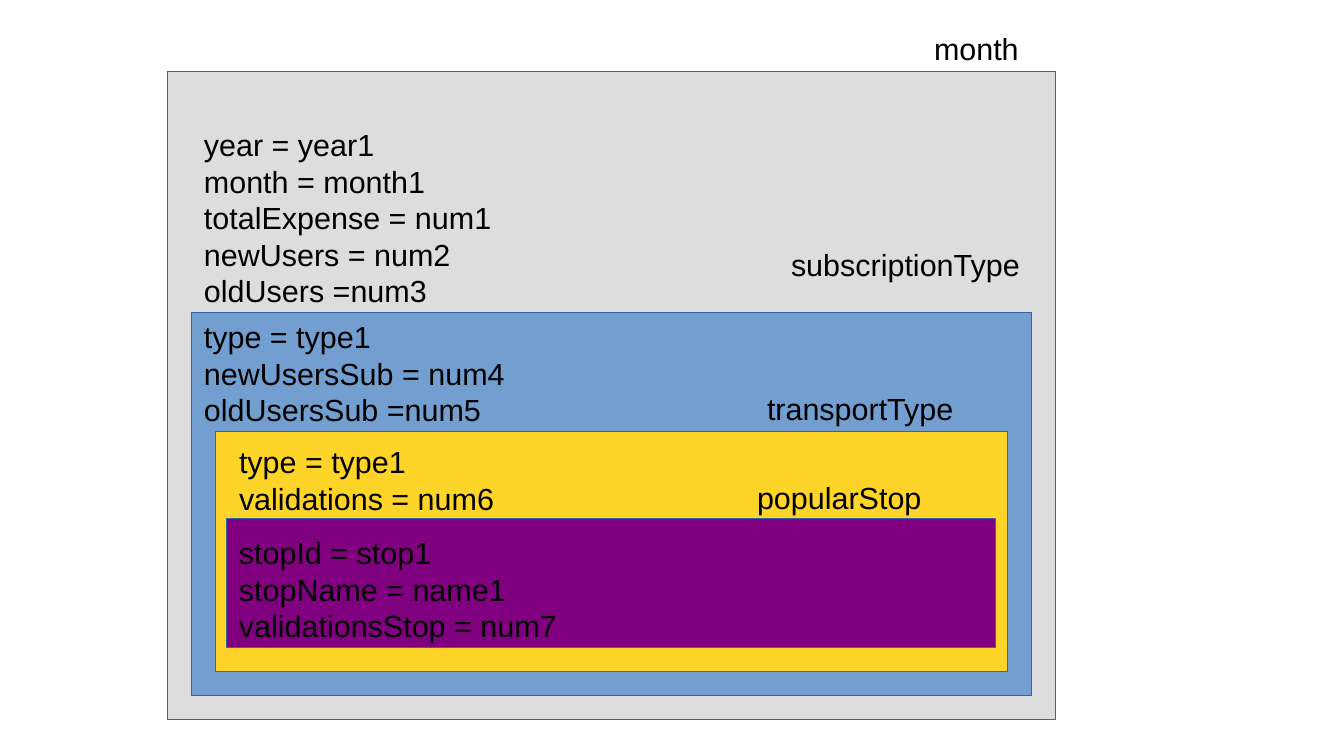
from dataclasses import dataclass

from pptx import Presentation
from pptx.dml.color import RGBColor
from pptx.enum.shapes import MSO_SHAPE
from pptx.enum.text import MSO_ANCHOR, MSO_AUTO_SIZE, PP_ALIGN
from pptx.util import Emu, Pt

RECT = MSO_SHAPE.RECTANGLE
TOP = MSO_ANCHOR.TOP
GROW = MSO_AUTO_SIZE.SHAPE_TO_FIT_TEXT
LEFT = PP_ALIGN.LEFT
SCALE = 914400 / 122
BLANK = 6
HAIR = Emu(1)


@dataclass(frozen=True)
class Theme:
    """Hold the colours and type of the slide."""
    text: str = "000000"
    line: str = "3465A4"
    month: str = "DDDDDD"
    plan: str = "729FCF"
    mode: str = "FFD428"
    stop: str = "800080"
    font: str = "Arial"
    size: int = 18


def px(count):
    """Turn pixels into EMU."""
    return Emu(round(count * SCALE))


def apply(target, values):
    """Set each named attribute on the target."""
    for name, value in values.items():
        setattr(target, name, value)


class Board:
    """Draw styled elements on the current slide."""

    def __init__(self, deck, theme):
        """Add a blank slide and keep the style."""
        self.theme = theme
        self.slide = deck.slides.add_slide(deck.slide_layouts[BLANK])

    def block(self, area, fill):
        """Draw a filled level of the nesting."""
        shape = self.slide.shapes.add_shape(RECT, *map(px, area))
        shape.shadow.inherit = False
        shape.fill.solid()
        shape.fill.fore_color.rgb = RGBColor.from_string(fill)
        shape.line.color.rgb = RGBColor.from_string(self.theme.line)
        shape.line.width = HAIR

    def text(self, area, lines, wrap=False):
        """Write one paragraph for each line."""
        frame = self.slide.shapes.add_textbox(*map(px, area)).text_frame
        apply(frame, {"word_wrap": wrap, "auto_size": GROW,
                      "vertical_anchor": TOP})
        frame.text = "\n".join(lines)
        for para in frame.paragraphs:
            para.alignment = LEFT
            apply(para.font, {"name": self.theme.font,
                              "size": Pt(self.theme.size)})
            para.font.color.rgb = RGBColor.from_string(self.theme.text)


def main():
    """Build and save the nested data model."""
    theme = Theme()
    deck = Presentation()
    apply(deck, {"slide_width": px(1344), "slide_height": px(756)})
    board = Board(deck, theme)
    levels = [
        ("month", (922, 24, 109, 46), False,
         (168, 72, 888, 648), theme.month, (192, 120, 314, 183),
         ["year = year1", "month = month1", "totalExpense = num1",
          "newUsers = num2", "oldUsers =num3"]),
        ("subscriptionType", (779, 240, 253, 46), True,
         (192, 312, 840, 384), theme.plan, (192, 312, 327, 115),
         ["type = type1", "newUsersSub = num4", "oldUsersSub =num5"]),
        ("transportType", (755, 384, 253, 46), True,
         (216, 432, 792, 240), theme.mode, (227, 437, 282, 80),
         ["type = type1", "validations = num6"]),
        ("popularStop", (745, 473, 253, 46), True,
         (227, 518, 769, 130), theme.stop, (227, 528, 344, 115),
         ["stopId = stop1", "stopName = name1", "validationsStop = num7"]),
    ]
    for name, tag, wrap, area, fill, body, lines in levels:
        board.block(area, fill)
        board.text(tag, [name], wrap)
        board.text(body, lines)
    deck.save("out.pptx")


if __name__ == "__main__":
    main()
